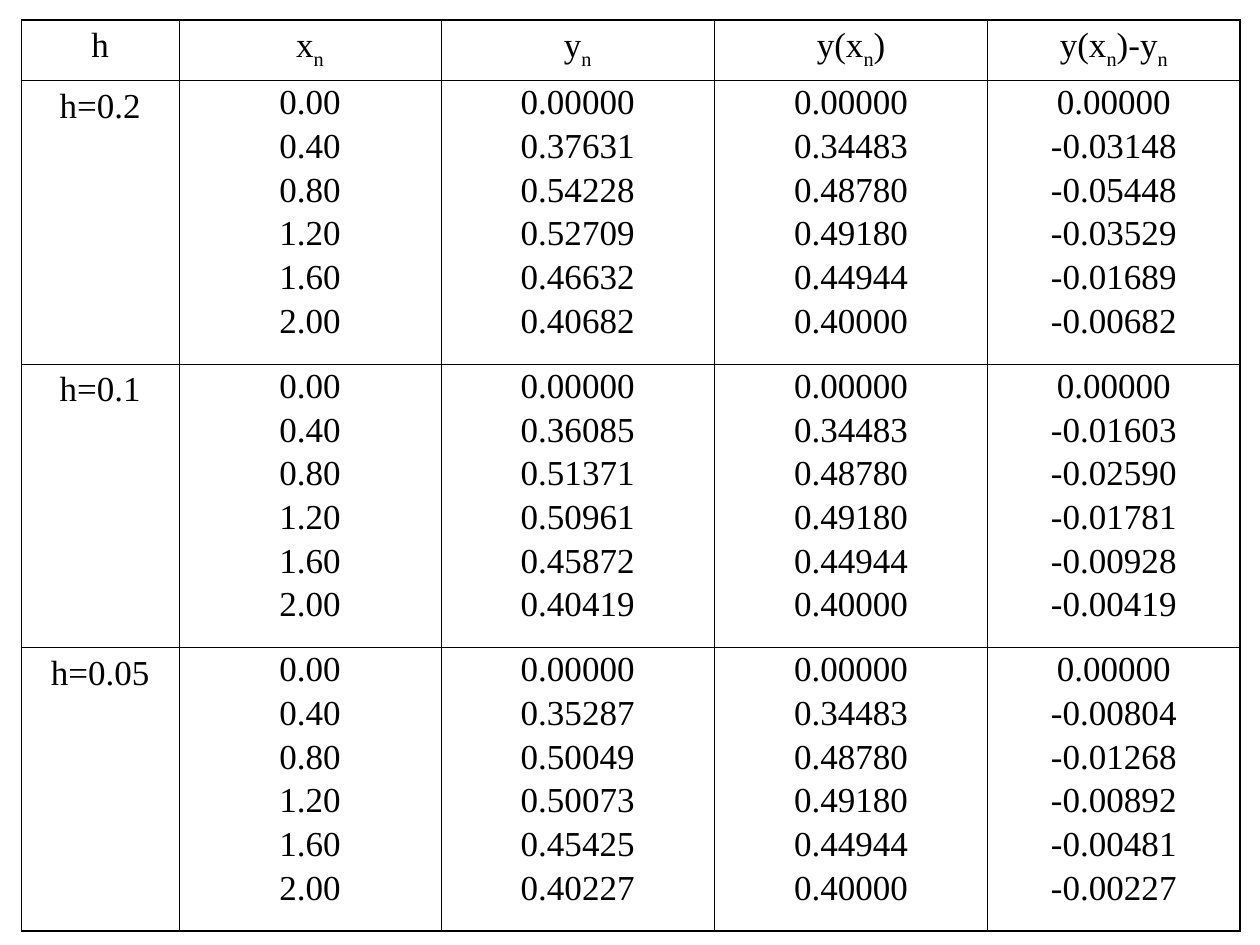
"""Build a slide with a table of numerical errors for three step sizes."""
import dataclasses
import typing

import pptx
import pptx.dml.color
import pptx.enum.text
import pptx.oxml
import pptx.oxml.ns
import pptx.util
from pptx.util import Inches


@dataclasses.dataclass(frozen=True)
class Theme:
    ink: str = "000000"
    font: str = "Times New Roman"
    size: float = 20
    gap: float = 5
    spacing: float = 0.9
    subscript: int = -25000
    outer: float = 1.08
    inner: float = 0.45


class StepGroup(typing.NamedTuple):
    h: str
    approx: str
    error: str


THEME = Theme()
LEFT, TOP = 0.17, 0.16
COL_WIDTHS = (1.25, 2.08, 2.17, 2.17, 2.0)
HEADER_HEIGHT, GROUP_HEIGHT = 0.48, 2.25
HEADERS = (("h",), ("x", "n"), ("y", "n"), ("y(x", "n", ")"), ("y(x", "n", ")-y", "n"))
X_VALUES = "0.00 0.40 0.80 1.20 1.60 2.00"
EXACT = "0.00000 0.34483 0.48780 0.49180 0.44944 0.40000"
GROUPS = (
    StepGroup("h=0.2", "0.00000 0.37631 0.54228 0.52709 0.46632 0.40682",
              "0.00000 -0.03148 -0.05448 -0.03529 -0.01689 -0.00682"),
    StepGroup("h=0.1", "0.00000 0.36085 0.51371 0.50961 0.45872 0.40419",
              "0.00000 -0.01603 -0.02590 -0.01781 -0.00928 -0.00419"),
    StepGroup("h=0.05", "0.00000 0.35287 0.50049 0.50073 0.45425 0.40227",
              "0.00000 -0.00804 -0.01268 -0.00892 -0.00481 -0.00227"),
)


def format_run(r, subscript: bool = False) -> None:
    r.font.name = THEME.font
    r.font.size = pptx.util.Pt(THEME.size)
    r.font.bold = False
    r.font.color.rgb = pptx.dml.color.RGBColor.from_string(THEME.ink)
    if subscript:
        r._r.get_or_add_rPr().set("baseline", str(THEME.subscript))


def write_header(cell, parts: tuple[str, ...]) -> None:
    p = cell.text_frame.paragraphs[0]
    p.alignment = pptx.enum.text.PP_ALIGN.CENTER
    for i, part in enumerate(parts):
        r = p.add_run()
        r.text = part
        format_run(r, subscript=i % 2 == 1)


def write_values(cell, values: str, spacing: float = THEME.spacing) -> None:
    tf = cell.text_frame
    tf.text = "\n".join(values.split())
    for i, p in enumerate(tf.paragraphs):
        p.alignment = pptx.enum.text.PP_ALIGN.CENTER
        p.line_spacing = spacing
        if i:
            p.space_before = pptx.util.Pt(THEME.gap)
        for r in p.runs:
            format_run(r)


def frame_cell(cell, outer_edges: dict[str, bool]) -> None:
    tc_pr = cell._tc.get_or_add_tcPr()
    for edge, is_outer in outer_edges.items():
        width = pptx.util.Pt(THEME.outer if is_outer else THEME.inner)
        tc_pr.append(pptx.oxml.parse_xml(
            f'<a:{edge} {pptx.oxml.ns.nsdecls("a")} w="{int(width)}"><a:solidFill>'
            f'<a:srgbClr val="{THEME.ink}"/></a:solidFill></a:{edge}>'))
    cell.fill.background()


def add_error_table(s) -> None:
    heights = (HEADER_HEIGHT, *[GROUP_HEIGHT] * len(GROUPS))
    frame = s.shapes.add_table(len(heights), len(COL_WIDTHS), Inches(LEFT), Inches(TOP),
                               Inches(sum(COL_WIDTHS)), Inches(sum(heights)))
    table = frame.table
    table.first_row = table.horz_banding = False
    for column, width in zip(table.columns, COL_WIDTHS):
        column.width = Inches(width)
    for row, height in zip(table.rows, heights):
        row.height = Inches(height)
    for j, parts in enumerate(HEADERS):
        write_header(table.cell(0, j), parts)
    for i, group in enumerate(GROUPS, 1):
        write_values(table.cell(i, 0), group.h, spacing=1.0)
        for j, values in enumerate((X_VALUES, group.approx, EXACT, group.error), 1):
            write_values(table.cell(i, j), values)
    last_row, last_col = len(heights) - 1, len(COL_WIDTHS) - 1
    for i in range(len(heights)):
        for j in range(len(COL_WIDTHS)):
            frame_cell(table.cell(i, j), {"lnL": j == 0, "lnR": j == last_col,
                                          "lnT": i == 0, "lnB": i == last_row})


def main() -> None:
    prs = pptx.Presentation()
    prs.slide_width, prs.slide_height = Inches(10), Inches(7.5)
    s = prs.slides.add_slide(prs.slide_layouts[6])
    add_error_table(s)
    prs.save("out.pptx")


if __name__ == "__main__":
    main()
